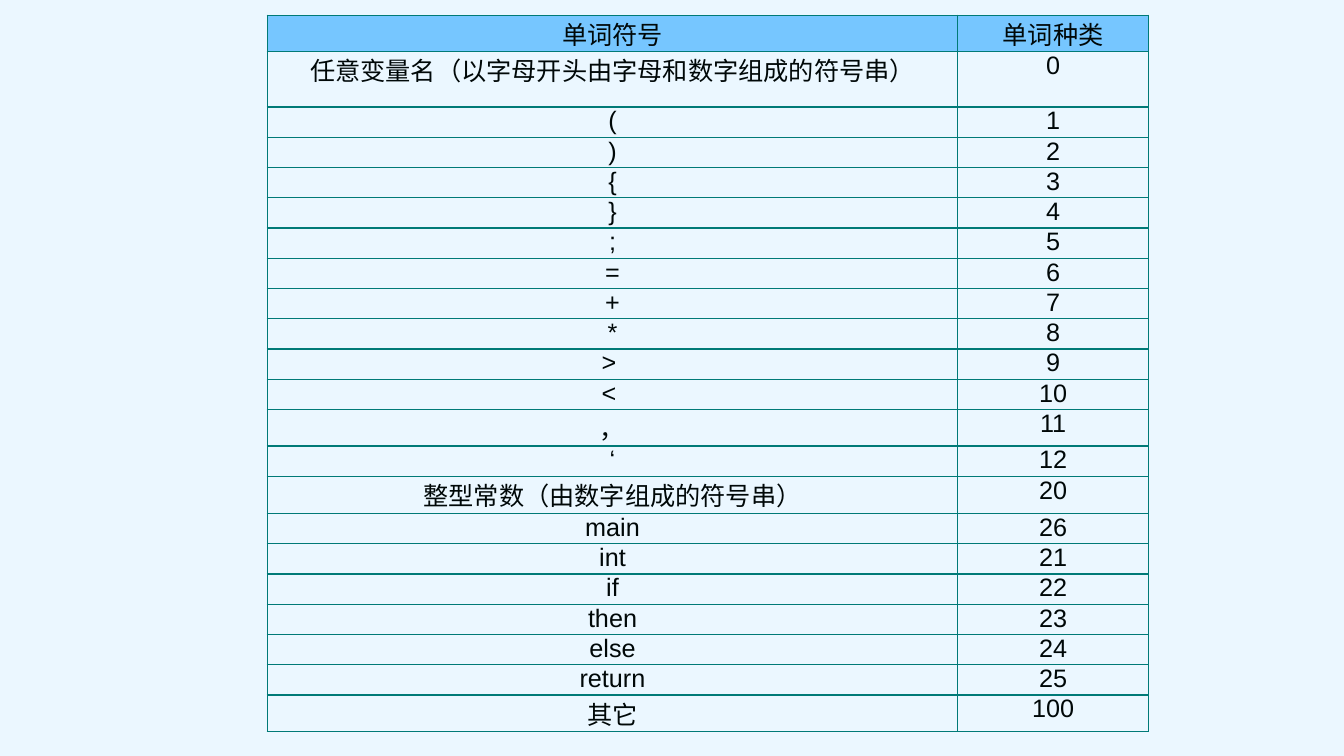
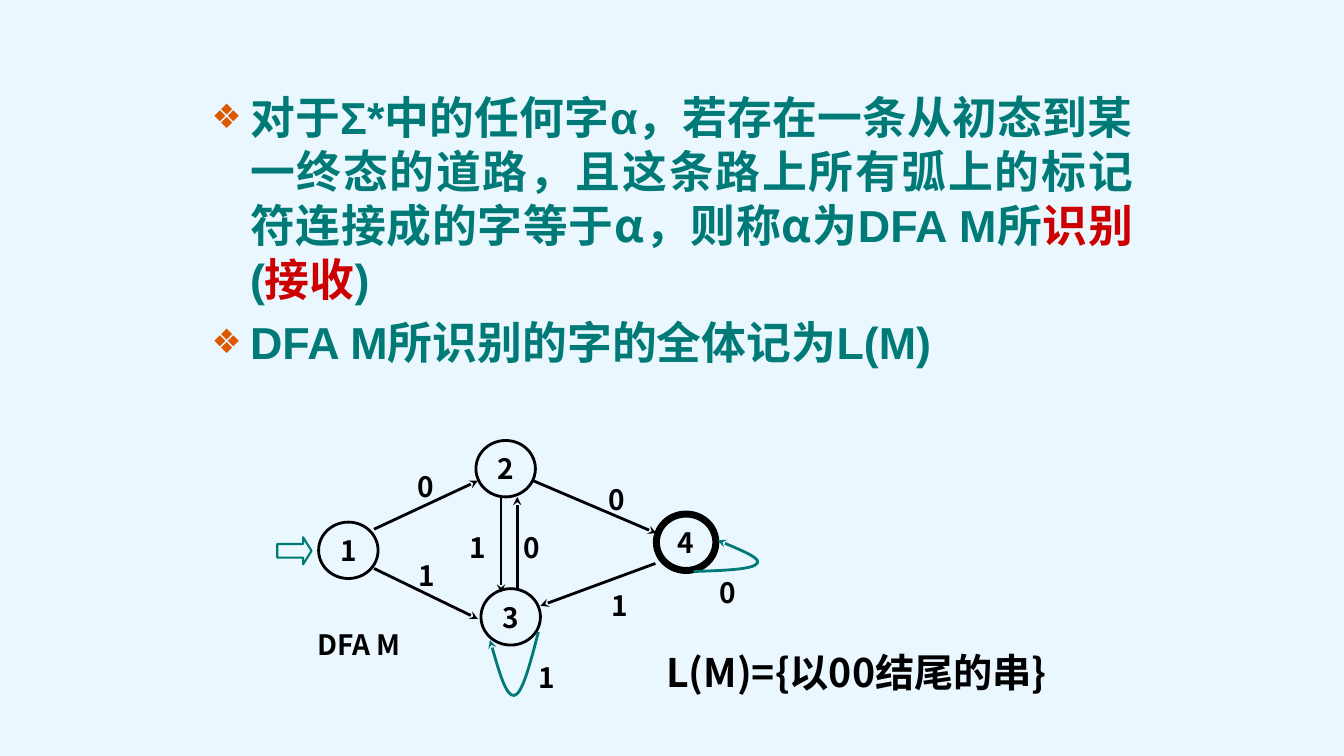
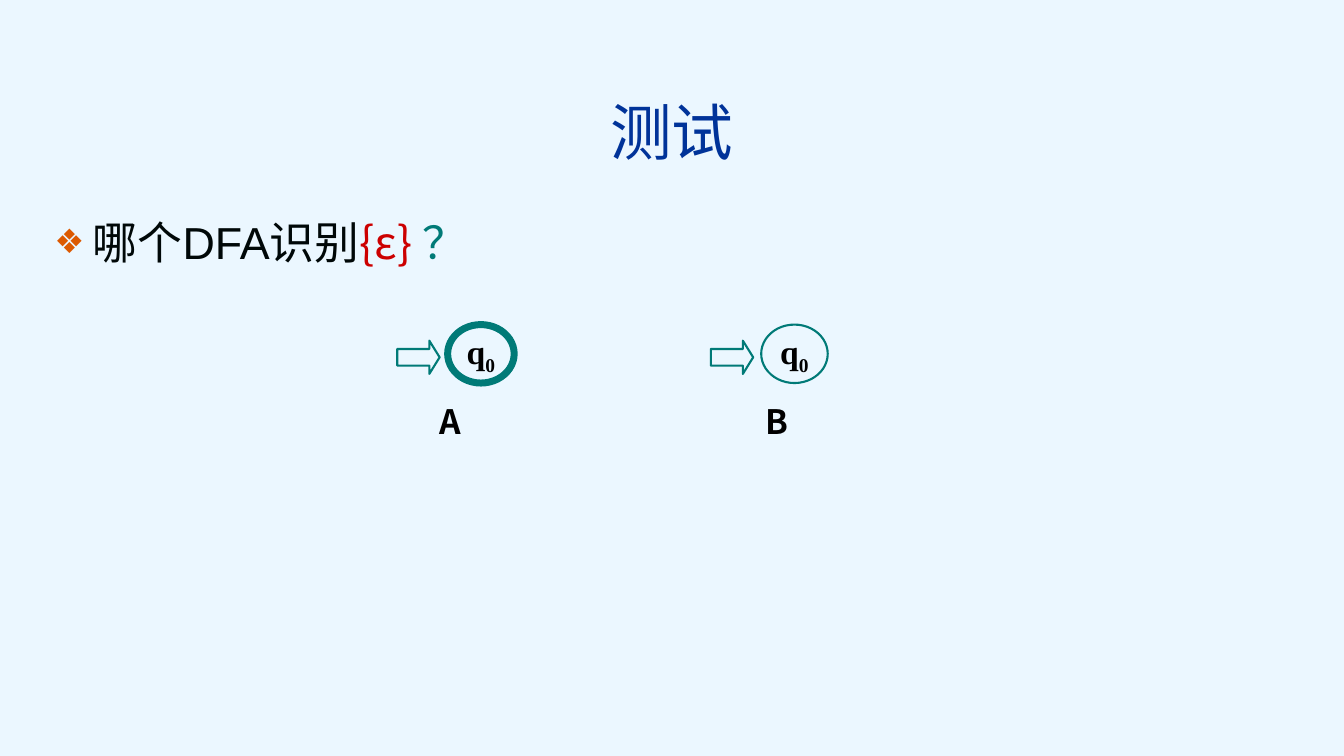
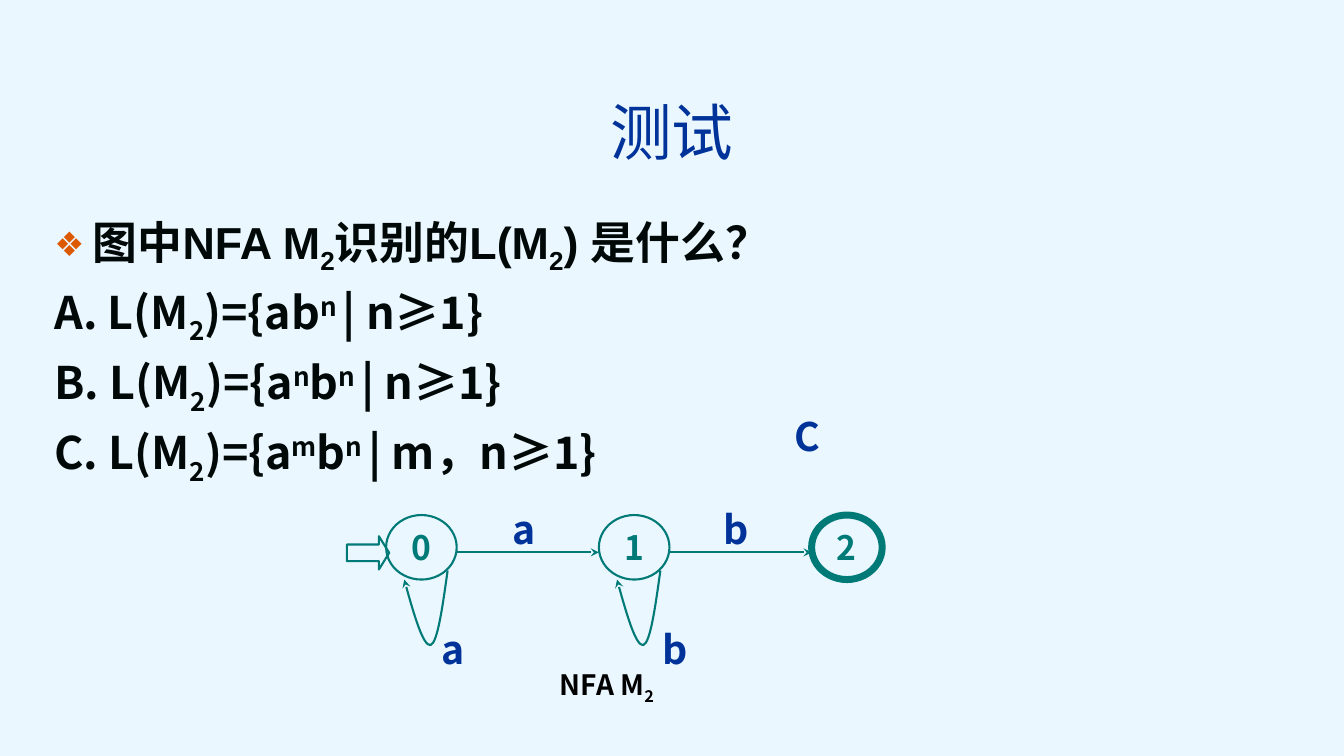
from dataclasses import dataclass, replace

from lxml.etree import SubElement
from pptx import Presentation
from pptx.dml.color import RGBColor
from pptx.enum.shapes import MSO_CONNECTOR, MSO_SHAPE
from pptx.enum.text import MSO_ANCHOR, MSO_AUTO_SIZE, PP_ALIGN
from pptx.oxml.ns import qn
from pptx.util import Pt

PX = 9144
PALE = RGBColor(0xEB, 0xF7, 0xFF)
SKY = RGBColor(0x76, 0xC6, 0xFF)
TEAL = RGBColor(0x00, 0x7A, 0x77)
NAVY = RGBColor(0x00, 0x33, 0x99)
RED = RGBColor(0xCC, 0x00, 0x00)
INK = RGBColor(0x00, 0x08, 0x08)
BLACK = RGBColor(0x00, 0x00, 0x00)
RUST = RGBColor(0xDC, 0x59, 0x00)
SANS = "Arial"
HAN = "Noto Sans CJK SC"
SERIF = "Times New Roman"


@dataclass(frozen=True)
class Look:
    size: int
    face: str
    color: RGBColor
    bold: bool = False
    base: int = 0


CELL = Look(18, SANS, INK)
TITLE = Look(44, SANS, NAVY)
PLAIN = Look(32, SANS, INK)
LEAD = Look(32, SANS, TEAL, True)
LEAD_HAN = replace(LEAD, face=HAN)
ASK = replace(PLAIN, bold=True)
PICK = replace(ASK, face=HAN)
MARK = Look(20, HAN, BLACK, True)
NAME = replace(MARK, size=24)
SUM = replace(MARK, size=28)
EDGE = Look(28, HAN, NAVY, True)
STATE = Look(24, HAN, TEAL, True)
SYMBOL = Look(24, SERIF, BLACK, True)


def sub(look):
    return replace(look, base=-25)


def write(para, runs):
    for text, look in runs:
        run = para.add_run()
        run.text = text
        font = run.font
        font.size = Pt(look.size)
        font.bold = look.bold
        font.color.rgb = look.color
        font.name = look.face
        props = run._r.get_or_add_rPr()
        SubElement(props, qn("a:ea"), typeface=HAN)
        if look.base:
            props.set("baseline", str(look.base * 1000))


def fit(org, box):
    left, top, wide, high = box
    return [v * PX for v in (org[0] + left, org[1] + top, wide, high)]


def fill_text(shape, runs, inset=0, wrap=False, align=PP_ALIGN.CENTER,
              anchor=MSO_ANCHOR.MIDDLE):
    frame = shape.text_frame
    frame.word_wrap = wrap
    frame.vertical_anchor = anchor
    frame.margin_left = frame.margin_right = inset * PX
    frame.margin_top = frame.margin_bottom = inset * PX // 2
    para = frame.paragraphs[0]
    para.alignment = align
    write(para, runs)


def label(slide, org, box, runs):
    fill_text(slide.shapes.add_textbox(*fit(org, box)), runs)


def note(slide, org, box, runs, wrap=False):
    fill_text(slide.shapes.add_textbox(*fit(org, box)), runs, 10, wrap,
              PP_ALIGN.LEFT, MSO_ANCHOR.TOP)


def trace(shape, color, width):
    shape.shadow.inherit = False
    shape.fill.background()
    shape.line.color.rgb = color
    shape.line.width = Pt(width)


def head(line):
    SubElement(line.line._get_or_add_ln(), qn("a:tailEnd"), type="stealth")


def node(slide, org, box, runs, color, width):
    shape = slide.shapes.add_shape(MSO_SHAPE.OVAL, *fit(org, box))
    trace(shape, color, width)
    fill_text(shape, runs)


def entry(slide, org, box):
    shape = slide.shapes.add_shape(MSO_SHAPE.RIGHT_ARROW, *fit(org, box))
    shape.adjustments[1] = 0.31
    trace(shape, TEAL, 1.5)


def arrow(slide, org, ends, color, width):
    spots = [(org[i % 2] + v) * PX for i, v in enumerate(ends)]
    line = slide.shapes.add_connector(MSO_CONNECTOR.STRAIGHT, *spots)
    line.line.color.rgb = color
    line.line.width = Pt(width)
    head(line)
    SubElement(line._element.spPr, qn("a:effectLst"))


def loop(slide, org, spots, width):
    pts = [(org[0] + x, org[1] + y) for x, y in spots]
    pen = slide.shapes.build_freeform(*pts[0], scale=PX)
    pen.add_line_segments(pts[1:], close=False)
    shape = pen.convert_to_shape()
    way = next(shape.element.iter(qn("a:path")))
    steps = way.findall(qn("a:lnTo"))
    for i in range(0, len(steps), 3):
        curve = SubElement(way, qn("a:cubicBezTo"))
        for step in steps[i:i + 3]:
            curve.append(step[0])
            way.remove(step)
    trace(shape, TEAL, width)
    head(shape)


def setup(deck):
    deck.slide_width, deck.slide_height = 1333 * PX, 750 * PX
    fill = deck.slide_master.background.fill
    fill.solid()
    fill.fore_color.rgb = PALE
    layout = deck.slide_layouts[1]
    boxes = ((44, 67, 1245, 125), (44, 208, 1245, 459))
    for holder, box in zip(layout.placeholders, boxes):
        holder.left, holder.top, holder.width, holder.height = fit((0, 0), box)


def bullets(body, items, align=PP_ALIGN.LEFT, pitch=None):
    frame = body.text_frame
    frame.auto_size = MSO_AUTO_SIZE.NONE
    for i, (dot, runs) in enumerate(items):
        para = frame.add_paragraph() if i else frame.paragraphs[0]
        props = para._p.get_or_add_pPr()
        props.set("marL", str(38 * PX))
        props.set("indent", str(-38 * PX))
        if dot:
            tint = SubElement(props, qn("a:buClr"))
            SubElement(tint, qn("a:srgbClr"), val=str(RUST))
            SubElement(props, qn("a:buSzPct"), val="75000")
            SubElement(props, qn("a:buChar"), char="❖")
        else:
            SubElement(props, qn("a:buNone"))
        para.alignment = align
        para.space_before = Pt(6.4 if i else 0)
        if pitch:
            para.line_spacing = Pt(pitch)
        write(para, runs)


def edge_cell(cell, text, color):
    cell.margin_left = cell.margin_right = 5 * PX
    cell.margin_top = cell.margin_bottom = 0
    props = cell._tc.get_or_add_tcPr()
    for side in ("lnL", "lnR", "lnT", "lnB"):
        line = SubElement(props, qn(f"a:{side}"), w=str(Pt(1)))
        paint = SubElement(line, qn("a:solidFill"))
        SubElement(paint, qn("a:srgbClr"), val=str(TEAL))
    cell.fill.solid()
    cell.fill.fore_color.rgb = color
    para = cell.text_frame.paragraphs[0]
    para.alignment = PP_ALIGN.CENTER
    write(para, [(text, CELL)])


def tokens(slide, box):
    marks = ["(", ")", "{", "}", ";", "=", "+", "*", "> ", "< ", "，", "‘"]
    words = ["int", "if", "then", "else", "return"]
    rows = [("单词符号", "单词种类"),
            ("任意变量名（以字母开头由字母和数字组成的符号串）", 0),
            *zip(marks, range(1, 13)),
            ("整型常数（由数字组成的符号串）", 20), ("main", 26),
            *zip(words, range(21, 26)), ("其它", 100)]
    grid = slide.shapes.add_table(len(rows), 2, *fit((0, 0), box)).table
    grid.first_row = grid.horz_banding = False
    for col, wide in zip(grid.columns, (685, 189)):
        col.width = wide * PX
    tall = {1: 55, 14: 37}
    for i, row in enumerate(rows):
        grid.rows[i].height = tall.get(i, 30) * PX
        for j, text in enumerate(row):
            edge_cell(grid.cell(i, j), str(text), PALE if i else SKY)


def accept(slide, box):
    title, body = slide.placeholders
    title.element.getparent().remove(title.element)
    body.left, body.top, body.width, body.height = fit((0, 0), box)
    hot = replace(LEAD_HAN, color=RED)
    bullets(body, [
        (True, [("对于Σ*中的任何字α，若存在一条从初态到某一终态的道路，且这", LEAD),
                ("条路上所有弧上的标记符连接成的字等于α，则称α为", LEAD_HAN),
                ("DFA M", LEAD), ("所", LEAD_HAN), ("识别", hot),
                ("(", LEAD), ("接收", hot), (")", LEAD)]),
        (True, [("DFA M", LEAD), ("所识别的字的全体记为", LEAD_HAN),
                ("L(M)", LEAD)])], PP_ALIGN.JUSTIFY, 38.6)


def dfa(slide, org):
    for x, y, text in ((331, 40, "0"), (143, 115, "1"), (142, 27, "0"),
                       (256, 87, "0"), (441, 132, "0"), (193, 87, "1"),
                       (262, 216, "1"), (334, 145, "1")):
        wide = 20 if x == 256 else 39
        label(slide, org, (x, y, wide, 37), [(text, MARK)])
    label(slide, org, (0, 176, 190, 53), [("DFA M", MARK)])
    spots = ((55, 81), (211, 0), (216, 147), (390, 73))
    for i, (x, y) in enumerate(spots, 1):
        node(slide, org, (x, y, 59, 56), [(str(i), MARK)], BLACK,
             5 if i == 4 else 2)
    for ends in ((110, 88, 213, 40), (110, 127, 213, 177),
                 (389, 122, 275, 164), (268, 40, 390, 92),
                 (236, 56, 236, 151), (252, 148, 252, 56)):
        arrow(slide, org, ends, BLACK, 2)
    loop(slide, org, [(427, 130), (457, 129), (486, 128), (490, 122),
                      (494, 117), (472, 108), (451, 99)], 2)
    loop(slide, org, [(273, 190), (265, 221), (257, 252), (249, 253),
                      (241, 254), (233, 226), (225, 198)], 2)
    entry(slide, org, (14, 96, 34, 27))
    note(slide, org, (390, 201, 418, 57), [("L(M)={以00结尾的串}", SUM)], True)


def quiz(slide, items):
    title, body = slide.placeholders
    write(title.text_frame.paragraphs[0], [("测试", TITLE)])
    bullets(body, items)


def option(slide, org, name, shift, width):
    node(slide, org, (50, 0, 66, 58), [("q", SYMBOL), ("0", sub(SYMBOL))],
         TEAL, width)
    entry(slide, org, (0, 16, 42, 33))
    note(slide, org, (shift, 71, 45, 50), [(name, NAME)])


def choices():
    up = replace(PICK, base=30)
    sets = (("A", [("ab", PICK), ("n ", up)], "n"),
            ("B", [("a", PICK), ("n", up), ("b", PICK), ("n ", up)], "n"),
            ("C", [("a", PICK), ("m", up), ("b", PICK), ("n ", up)], "m，n"))
    for name, word, free in sets:
        yield False, [(f"{name}. L(M", PICK), ("2", sub(PICK)),
                      (")={", PICK), *word, (f"| {free}≥1}}", PICK)]


def nfa(slide, org):
    step = 211
    for i in range(3):
        node(slide, org, (39 + i * step, 18, 70, 64), [(str(i), STATE)],
             TEAL, 5 if i == 2 else 1.5)
    for i, text in enumerate("ab"):
        x = i * step
        arrow(slide, org, (109 + x, 55, 250 + x, 55), TEAL, 1.5)
        label(slide, org, (127 + x, 0, 97, 64), [(text, EDGE)])
        curve = ((100, 73), (95, 109), (90, 145), (83, 147),
                 (76, 148), (66, 115), (57, 82))
        loop(slide, org, [(x + a, b) for a, b in curve], 1.5)
        label(slide, org, (57 + i * 220, 119, 97, 64), [(text, EDGE)])
    entry(slide, org, (0, 39, 42, 33))
    label(slide, org, (163, 162, 190, 53), [("NFA M", MARK), ("2", sub(MARK))])


def main():
    deck = Presentation()
    setup(deck)
    kinds = (6, 1, 1, 1)
    table, rule, first, last = [
        deck.slides.add_slide(deck.slide_layouts[k]) for k in kinds]
    tokens(table, (265, 15, 874, 692))
    accept(rule, (200, 84, 934, 583))
    dfa(rule, (261, 437))
    quiz(first, [(True, [("哪个DFA识别", PLAIN),
                         ("{ε} ", replace(PLAIN, face=HAN, color=RED)),
                         ("？", replace(PLAIN, color=TEAL))])])
    option(first, (394, 322), "A", 32, 5)
    option(first, (705, 322), "B", 44, 1.5)
    quiz(last, [(True, [("图中NFA M", ASK), ("2", sub(ASK)),
                        ("识别的L(M", ASK), ("2", sub(ASK)),
                        (") 是什么？", ASK)]), *choices()])
    nfa(last, (344, 493))
    note(last, (778, 404), (0, 0, 97, 57), [("C", EDGE)])
    deck.save("out.pptx")


if __name__ == "__main__":
    main()
